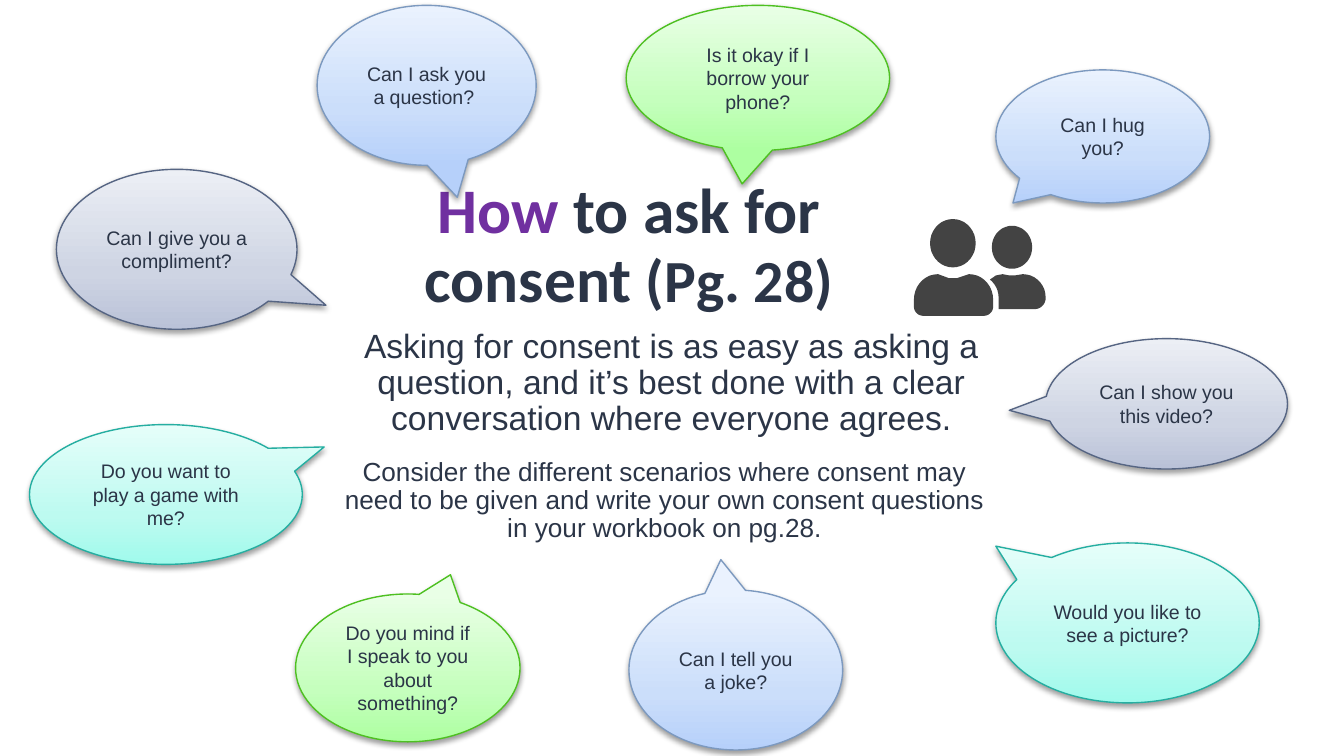
import copy
import math

import pptx
import pptx.dml.color
import pptx.enum.shapes
import pptx.enum.text
import pptx.oxml
import pptx.oxml.ns
import pptx.util

Inches, Pt = pptx.util.Inches, pptx.util.Pt
ALIGN, ANCHOR = pptx.enum.text.PP_ALIGN, pptx.enum.text.MSO_ANCHOR
qn = pptx.oxml.ns.qn

COLORS = {"text": "2B3547", "accent": "7030A0", "icon": "434343"}
# Bubble styles: gradient from bottom to top, then outline
BUBBLE_STYLES = {
    "blue": (("B6D0FA", "CBDEFA", "EAF2FE"), "7C99BF"),
    "green": (("ADFFA1", "C5FFBD", "E9FFE6"), "4EC021"),
    "teal": (("A0FAEC", "BDFAF0", "E5FEFA"), "25AEA1"),
    "gray": (("BAC2D8", "CED4E3", "ECEFF5"), "566583"),
}
GRADIENT_POSITIONS = (0, 0.35, 1)

# Content: text, font size, colour
TITLE = [("How ", 34, "accent"), ("to ask for consent ", 34, "text"), ("(Pg. 28)", 32, "text")]
# Text, font size, space before in points, left indent in inches
BODY = [
    ("Asking for consent is as easy as asking a question, and it’s best done "
     "with a clear conversation where everyone agrees.", 18, 0, 0.1),
    ("Consider the different scenarios where consent may need to be given and "
     "write your own consent questions in your workbook on pg.28.", 14, 11, 0),
]
# Text, style, (left, top, width, height), tail tip relative to the centre
BUBBLES = [
    ("Can I ask you a question? ", "blue", (2.36, 0.04, 1.63, 1.19), (0.14, 0.7)),
    ("Do you mind if I speak to you about something?", "green", (2.2, 4.42, 1.67, 1.1), (0.19, -0.63)),
    ("Would you like to see a picture?", "teal", (7.41, 4.04, 1.96, 1.19), (-0.5, -0.48)),
    ("Can I show you this video?", "gray", (7.78, 2.52, 1.8, 0.97), (-0.65, 0.05)),
    ("Is it okay if I borrow your phone?", "green", (4.66, 0.04, 1.96, 1.08), (-0.06, 0.73)),
    ("Do you want to play a game with me?", "teal", (0.22, 3.16, 2.03, 1.04), (0.58, -0.34)),
    ("Can I tell you a joke?", "blue", (4.68, 4.39, 1.59, 1.19), (-0.07, -0.69)),
    ("Can I give you a compliment?", "gray", (0.42, 1.26, 1.79, 1.19), (0.62, 0.35)),
    ("Can I hug you?", "blue", (7.41, 0.52, 1.59, 0.99), (-0.42, 0.5)),
]


def rgb(value):
    return pptx.dml.color.RGBColor.from_string(value)


def style_font(font, name, size, color, bold=False):
    font.name, font.size, font.bold = name, Pt(size), bold
    font.color.rgb = rgb(COLORS[color])


def add_text_box(page, place, anchor):
    frame = page.shapes.add_textbox(*map(Inches, place)).text_frame
    frame.word_wrap = True
    frame.vertical_anchor = anchor
    frame.margin_left = frame.margin_right = frame.margin_top = frame.margin_bottom = 0
    return frame


def add_title(page):
    para = add_text_box(page, (2.54, 1.66, 4.28, 0.69), ANCHOR.BOTTOM).paragraphs[0]
    para.alignment, para.line_spacing = ALIGN.CENTER, 0.9
    for text, size, color in TITLE:
        span = para.add_run()
        span.text = text
        style_font(span.font, "Calibri", size, color, bold=True)


def add_body(page):
    frame = add_text_box(page, (2.48, 2.45, 4.93, 1.72), ANCHOR.TOP)
    frame.text = "\n".join(text for text, *_ in BODY)
    for para, (_, size, before, indent) in zip(frame.paragraphs, BODY):
        para.alignment, para.line_spacing = ALIGN.CENTER, 0.9
        para.space_before = Pt(before)
        properties = para._p.get_or_add_pPr()
        properties.set("marL", str(Inches(indent)))
        properties.set("indent", "0")
        style_font(para.runs[0].font, "Arial", size, "text")


def add_gradient(shape, colors):
    shape.fill.gradient()
    shape.fill.gradient_angle = 90
    stops = shape._element.spPr.find(qn("a:gradFill")).find(qn("a:gsLst"))
    stops.append(copy.deepcopy(stops[-1]))
    for stop, position, color in zip(shape.fill.gradient_stops, GRADIENT_POSITIONS, colors):
        stop.position = position
        stop.color.rgb = rgb(color)


def add_shadow(shape):
    shape.shadow.inherit = False
    shape._element.spPr.find(qn("a:effectLst")).append(pptx.oxml.parse_xml(
        f'<a:outerShdw {pptx.oxml.ns.nsdecls("a")} blurRad="{Pt(3.1)}" dist="{Pt(1.6)}" '
        'dir="5400000" rotWithShape="0"><a:srgbClr val="000000">'
        '<a:alpha val="38000"/></a:srgbClr></a:outerShdw>'))


def add_bubble(page, text, style, place, tail):
    bubble = page.shapes.add_shape(
        pptx.enum.shapes.MSO_SHAPE.OVAL_CALLOUT, *map(Inches, place))
    bubble.adjustments[0], bubble.adjustments[1] = tail
    gradient, outline = BUBBLE_STYLES[style]
    add_gradient(bubble, gradient)
    bubble.line.color.rgb = rgb(outline)
    bubble.line.width = Pt(0.75)
    add_shadow(bubble)
    frame = bubble.text_frame
    frame.text = text
    frame.vertical_anchor = ANCHOR.MIDDLE
    para = frame.paragraphs[0]
    para.alignment = ALIGN.CENTER
    style_font(para.runs[0].font, "Arial", 10.5, "text")


def arc(x, y, radius_x, radius_y, start, end):
    """Points on an elliptical arc, in degrees clockwise from the right."""
    steps = max(6, abs(end - start) // 10)
    angles = [math.radians(start + (end - start) * i / steps) for i in range(steps + 1)]
    return [(x + radius_x * math.cos(a), y + radius_y * math.sin(a)) for a in angles]


def add_people_icon(page):
    contours = [
        # Heads
        arc(7.09, 1.81, 0.17, 0.18, 0, 360),
        arc(7.53, 1.84, 0.15, 0.16, 0, 360),
        # Rear body, cut away beside the front one
        [(7.46, 2.04), (7.41, 2.05)] + arc(7.25, 2.21, 0.18, 0.17, -50, 0)
        + [(7.43, 2.3)] + arc(7.7, 2.22, 0.08, 0.08, 90, 0)
        + arc(7.61, 2.21, 0.17, 0.17, 0, -90) + [(7.55, 2.05), (7.51, 2.05)],
        # Front body
        arc(6.98, 2.23, 0.18, 0.19, 270, 180) + arc(6.87, 2.28, 0.07, 0.07, 180, 90)
        + arc(7.32, 2.28, 0.07, 0.07, 90, 0) + arc(7.21, 2.23, 0.18, 0.19, 0, -90)
        + [(7.12, 2.07), (7.06, 2.07)],
    ]
    units = 1000
    scaled = [[(x * units, y * units) for x, y in contour] for contour in contours]
    builder = page.shapes.build_freeform(*scaled[0][0], scale=Inches(1) / units)
    for number, contour in enumerate(scaled):
        if number:
            builder.move_to(*contour[0])
        builder.add_line_segments(contour[1:], close=True)
    icon = builder.convert_to_shape()
    icon.fill.solid()
    icon.fill.fore_color.rgb = rgb(COLORS["icon"])
    icon.line.fill.background()
    icon.shadow.inherit = False


def main():
    deck = pptx.Presentation()
    # Widescreen, 16:9
    deck.slide_width, deck.slide_height = Inches(10), Inches(10 * 9 / 16)
    page = deck.slides.add_slide(deck.slide_layouts[6])
    add_title(page)
    add_body(page)
    for bubble in BUBBLES:
        add_bubble(page, *bubble)
    add_people_icon(page)
    deck.save("out.pptx")


if __name__ == "__main__":
    main()
